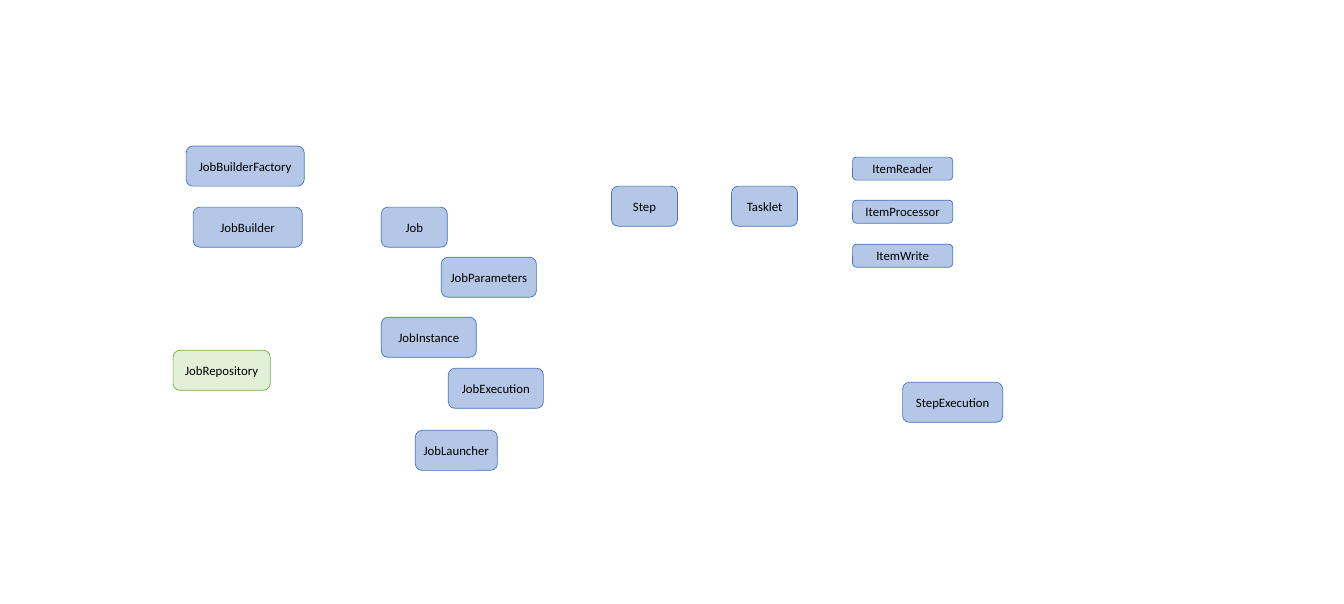
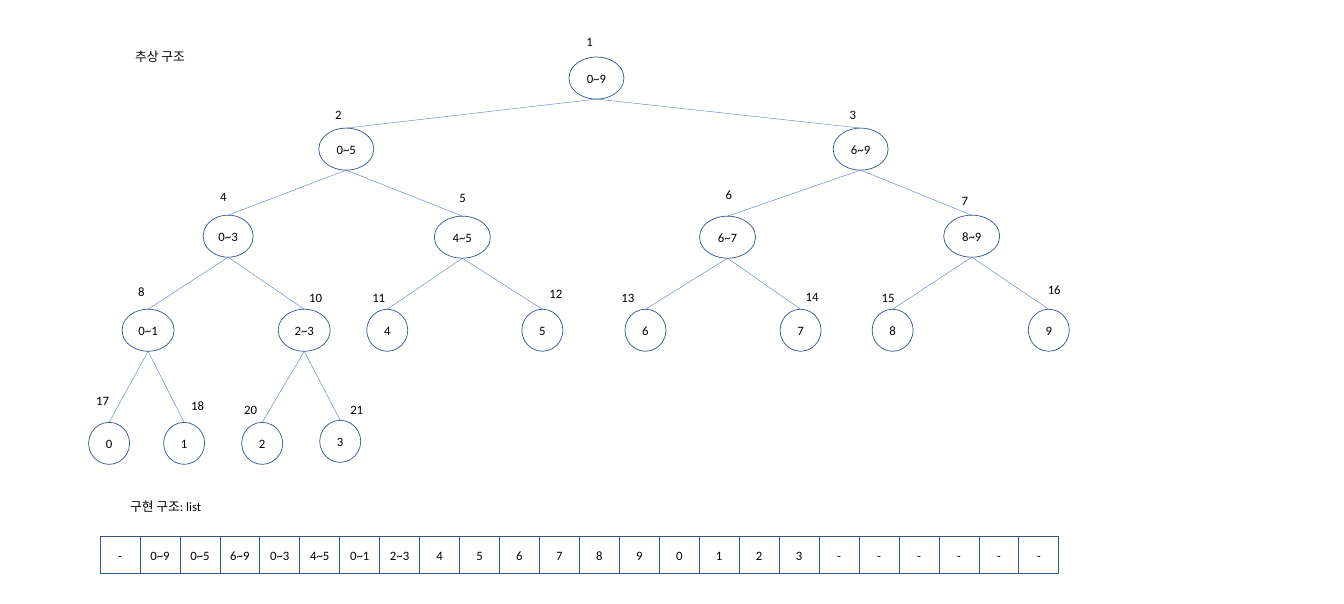
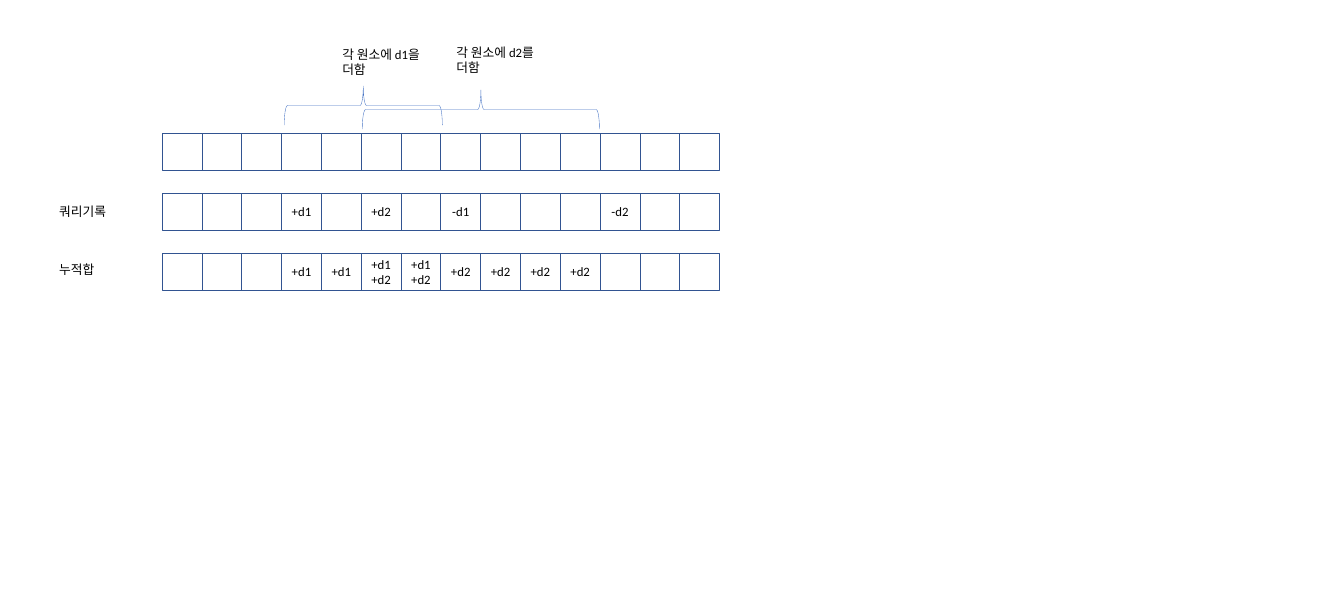
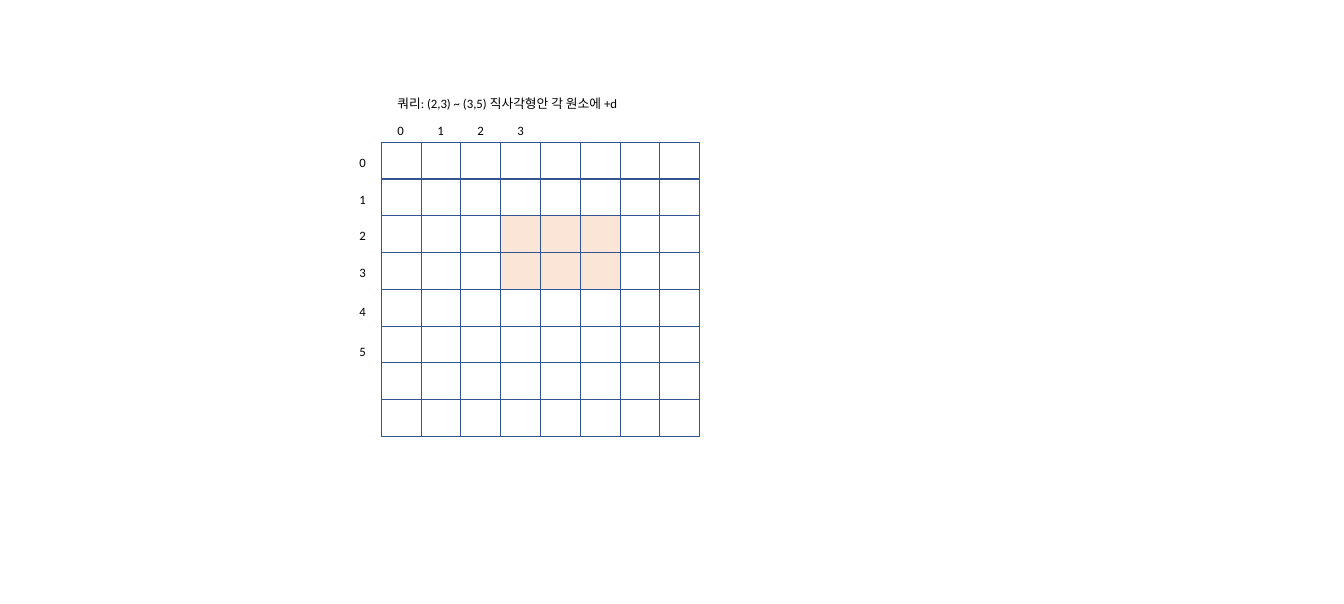
from dataclasses import dataclass

from lxml import etree
from pptx import Presentation
from pptx.dml.color import RGBColor
from pptx.enum import shapes, text
from pptx.oxml import ns
from pptx.util import Pt

SCALE = 914400 / 51
WIDE, HIGH = 1343, 603.5
KIND = shapes.MSO_SHAPE
LEFT, MID = text.PP_ALIGN.LEFT, text.PP_ALIGN.CENTER


@dataclass(frozen=True)
class Theme:
    """Colours, type and line widths shared by all slides."""
    font: str = "Calibri"
    size: int = 18
    ink: str = "000000"
    blue: str = "B4C7E7"
    edge: str = "4472C4"
    green: str = "E2F0D9"
    leaf: str = "70AD47"
    navy: str = "325491"
    peach: str = "FBE5D6"
    thin: float = 0.5
    line: float = 1


T = Theme()


def emu(px):
    """Turn pixels into EMU."""
    return round(px * SCALE)


def rgb(code):
    """Turn a hex code into a colour."""
    return RGBColor.from_string(code)


def write(shape, words, align=LEFT, anchor=text.MSO_ANCHOR.TOP, inset=None):
    """Put text in a shape, one paragraph for each line."""
    frame = shape.text_frame
    frame.word_wrap = True
    frame.vertical_anchor = anchor
    if inset is not None:
        frame.margin_left = frame.margin_right = emu(inset)
        frame.margin_top = frame.margin_bottom = emu(inset)
    frame.text = words
    for para in frame.paragraphs:
        para.alignment = align
        for run in para.runs:
            run.font.name = T.font
            run.font.size = Pt(T.size)
            run.font.color.rgb = rgb(T.ink)


def label(slide, words, x, y, w, h=20):
    """Add a plain text box that grows with its text."""
    box = slide.shapes.add_textbox(emu(x), emu(y), emu(w), emu(h))
    write(box, words)
    box.text_frame.auto_size = text.MSO_AUTO_SIZE.SHAPE_TO_FIT_TEXT


def block(slide, kind, x, y, w, h, words="", fill=None, edge=T.navy, line=T.line):
    """Add an outlined shape, with centred text if there is any."""
    shape = slide.shapes.add_shape(kind, emu(x), emu(y), emu(w), emu(h))
    shape.shadow.inherit = False
    if fill:
        shape.fill.solid()
        shape.fill.fore_color.rgb = rgb(fill)
    else:
        shape.fill.background()
    shape.line.color.rgb = rgb(edge)
    shape.line.width = Pt(line)
    if words:
        write(shape, words, align=MID, anchor=text.MSO_ANCHOR.MIDDLE, inset=0)
    return shape


def link(slide, x1, y1, x2, y2):
    """Add a thin straight line."""
    line = slide.shapes.add_connector(
        shapes.MSO_CONNECTOR.STRAIGHT, emu(x1), emu(y1), emu(x2), emu(y2))
    line.line.color.rgb = rgb(T.edge)
    line.line.width = Pt(T.thin)
    etree.SubElement(line._element.spPr, ns.qn("a:effectLst"))


def brace(slide, x, y, w, h):
    """Add a brace that spans w and points up."""
    left, top = x + (w - h) / 2, y + (h - w) / 2
    shape = block(slide, KIND.LEFT_BRACE, left, top, h, w, edge=T.edge, line=T.thin)
    shape.rotation = 90


def grid(slide, rows, x, y, w, h, lit=()):
    """Share an area among equal cells; lit holds the filled (row, col) pairs."""
    high = h / len(rows)
    for r, row in enumerate(rows):
        wide = w / len(row)
        for c, words in enumerate(row):
            block(slide, KIND.RECTANGLE, x + c * wide, y + r * high, wide, high,
                  words, fill=T.peach if (r, c) in lit else None)


def batch(slide):
    """Draw the classes of a batch job."""
    high, low = 40, 23
    parts = [
        ("Job", 381, 207, 66, high), ("Step", 611, 186, 66, high),
        ("Tasklet", 731, 186, 66, high), ("ItemReader", 852, 157, 100, low),
        ("ItemProcessor", 852, 200, 100, low), ("ItemWrite", 852, 244, 100, low),
        ("JobRepository", 173, 350, 97, high), ("JobLauncher", 415, 430, 82, high),
        ("JobBuilderFactory", 186, 146, 118, high),
        ("JobBuilder", 193, 207, 109, high), ("StepExecution", 902, 382, 100, high),
        ("JobInstance", 381, 317, 95, high), ("JobParameters", 441, 257, 95, high),
        ("JobExecution", 448, 368, 95, high),
    ]
    paint = {"JobRepository": (T.green, T.leaf)}
    for name, x, y, w, h in parts:
        fill, edge = paint.get(name, (T.blue, T.edge))
        block(slide, KIND.ROUNDED_RECTANGLE, x, y, w, h, name, fill, edge)


def tree(slide):
    """Draw a segment tree and the list that stores it."""
    high = 42
    # range, parent, centre x, top, width, number, number x, number y
    nodes = [
        ("0~9", None, 596, 57, 55, "1", 581, 31),
        ("0~5", "0~9", 346, 128, 55, "2", 330, 104),
        ("6~9", "0~9", 860, 128, 55, "3", 844, 104),
        ("0~3", "0~5", 228, 215, 50, "4", 215, 186),
        ("4~5", "0~5", 462, 216, 56, "5", 454, 187),
        ("6~7", "6~9", 727, 216, 56, "6", 720, 184),
        ("8~9", "6~9", 971, 215, 56, "7", 956, 190),
        ("0~1", "0~3", 148, 309, 52, "8", 133, 281),
        ("2~3", "0~3", 304, 309, 52, "10", 304, 287),
        ("4", "4~5", 387, 309, 41, "11", 367, 287),
        ("5", "4~5", 542, 309, 41, "12", 544, 283),
        ("6", "6~7", 645, 309, 41, "13", 616, 287),
        ("7", "6~7", 800, 309, 41, "14", 800, 286),
        ("8", "8~9", 892, 309, 41, "15", 876, 287),
        ("9", "8~9", 1048, 309, 41, "16", 1042, 279),
        ("0", "0~1", 109, 422, 41, "17", 91, 390),
        ("1", "0~1", 184, 422, 41, "18", 186, 395),
        ("2", "2~3", 262, 422, 41, "20", 239, 399),
        ("3", "2~3", 340, 420, 41, "21", 345, 399),
    ]
    feet = {}
    for name, above, mid, top, w, num, x, y in nodes:
        block(slide, KIND.OVAL, mid - w / 2, top, w, high, name)
        label(slide, num, x, y, 18 if len(num) == 1 else 29)
        feet[name] = mid, top + high
        if above:
            link(slide, *feet[above], mid, top)
    label(slide, "추상 구조", 130, 46, 80)
    label(slide, "구현 구조: list", 125, 496, 117)
    spans = "- 0~9 0~5 6~9 0~3 4~5 0~1 2~3 4 5 6 7 8 9 0 1 2 3".split()
    grid(slide, [spans + ["-"] * 6], 100, 536, 958, 37)


def sums(slide):
    """Draw range updates on a row and their running sum."""
    both = "+d1\n+d2"
    rows = [
        [""] * 14,
        ["", "", "", "+d1", "", "+d2", "", "-d1", "", "", "", "-d2", "", ""],
        [""] * 3 + ["+d1"] * 2 + [both] * 2 + ["+d2"] * 4 + [""] * 3,
    ]
    for i, row in enumerate(rows):
        grid(slide, [row], 162, 133 + i * 60, 557, 37)
    brace(slide, 284, 86, 158, 39)
    brace(slide, 362, 90, 237, 39)
    label(slide, "각 원소에 d1을 더함", 337, 44, 90, 36)
    label(slide, "각 원소에 d2를 더함", 451, 42, 90, 36)
    label(slide, "쿼리기록", 54, 201, 82)
    label(slide, "누적합", 54, 259, 82)


def plane(slide):
    """Draw a square grid with the queried cells filled."""
    lit = {(r, c) for r in (2, 3) for c in (3, 4, 5)}
    grid(slide, [[""] * 8] * 8, 381, 142, 318, 294, lit)
    label(slide, "쿼리: (2,3) ~ (3,5) 직사각형안 각 원소에 +d ", 392, 93, 256)
    for c in range(4):
        label(slide, str(c), 392 + c * 40, 120, 21)
    for r, y in enumerate([152, 189, 225, 262, 301, 341]):
        label(slide, str(r), 354, y, 21)


def main():
    """Build and save the slides."""
    deck = Presentation()
    deck.slide_width, deck.slide_height = emu(WIDE), emu(HIGH)
    for draw in (batch, tree, sums, plane):
        draw(deck.slides.add_slide(deck.slide_layouts[6]))
    deck.save("out.pptx")


main()
